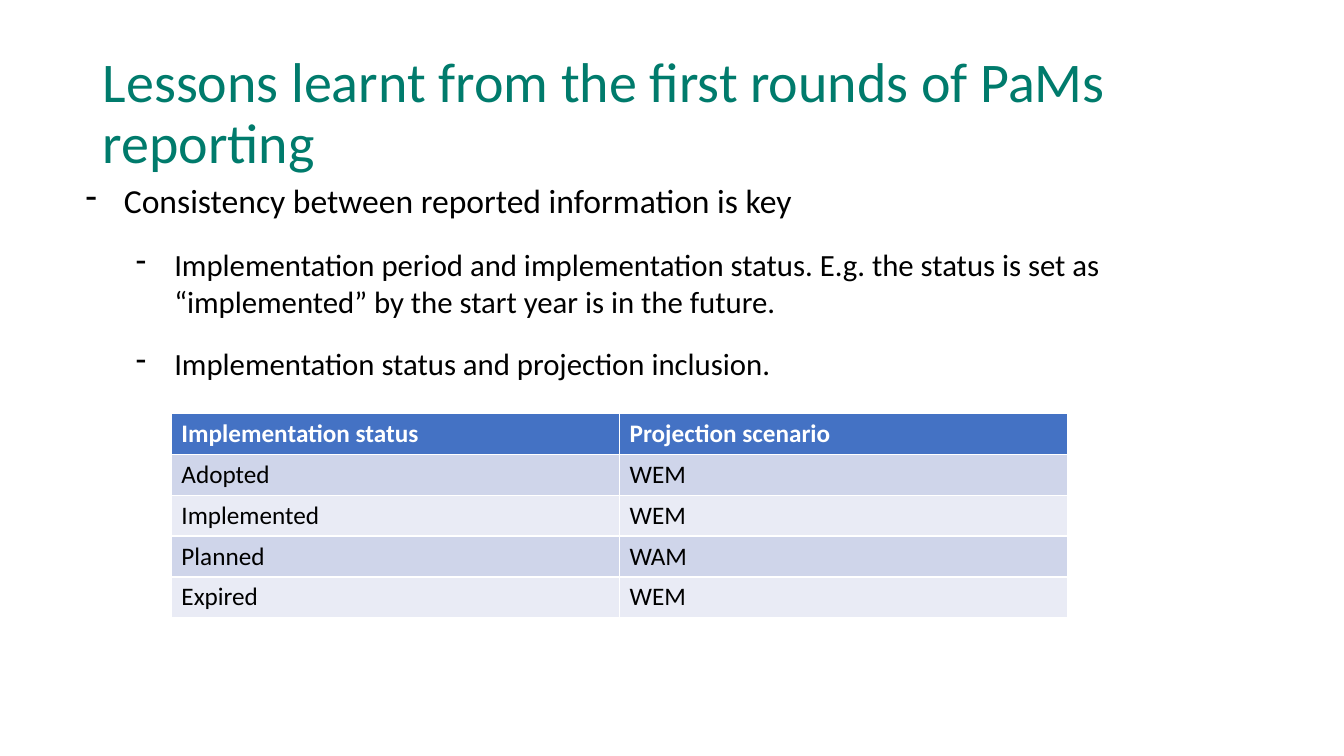
import pptx
import pptx.dml.color
import pptx.enum.text
import pptx.oxml.ns
import pptx.util
from lxml import etree

Inches = pptx.util.Inches
COLORS = {
    "title": "007B6C",
    "text": "000000",
    "header": "4472C4",
    "header_text": "FFFFFF",
    "odd_row": "CFD5EA",
    "even_row": "E9EBF5",
}
POINTS = [
    (0, "Consistency between reported information is key"),
    (1, "Implementation period and implementation status. E.g. the status is set as "
        "“implemented” by the start year is in the future."),
    (1, "Implementation status and projection inclusion."),
]
SCENARIOS = [
    ("Implementation status", "Projection scenario"),
    ("Adopted", "WEM"),
    ("Implemented", "WEM"),
    ("Planned", "WAM"),
    ("Expired", "WEM"),
]


def write_text(paragraph, text, size, color="text", bold=False, font="Calibri"):
    run = paragraph.add_run()
    run.text = text
    run.font.name = font
    run.font.size = pptx.util.Pt(size)
    run.font.bold = bold
    run.font.color.rgb = pptx.dml.color.RGBColor.from_string(COLORS[color])


class SlideBuilder:
    """Adds styled elements to one title-only slide."""

    bullet_sizes = (24, 22)
    bullet_indent = 0.38
    level_step = 0.5

    def __init__(self, presentation):
        self.slide = presentation.slides.add_slide(presentation.slide_layouts[5])

    def title(self, text, left, top, width, height):
        shape = self.slide.shapes.title
        shape.left, shape.top = Inches(left), Inches(top)
        shape.width, shape.height = Inches(width), Inches(height)
        frame = shape.text_frame
        frame.word_wrap = True
        frame.auto_size = pptx.enum.text.MSO_AUTO_SIZE.NONE
        frame.vertical_anchor = pptx.enum.text.MSO_ANCHOR.MIDDLE
        paragraph = frame.paragraphs[0]
        paragraph.alignment = pptx.enum.text.PP_ALIGN.LEFT
        paragraph.line_spacing = 0.9
        write_text(paragraph, text, 40, color="title")

    def bullets(self, points, left, top, width, height):
        shape = self.slide.shapes.add_textbox(
            Inches(left), Inches(top), Inches(width), Inches(height))
        frame = shape.text_frame
        frame.word_wrap = True
        for index, (level, text) in enumerate(points):
            paragraph = frame.add_paragraph() if index else frame.paragraphs[0]
            self.bullet(paragraph, level)
            write_text(paragraph, text, self.bullet_sizes[level])

    def bullet(self, paragraph, level):
        properties = paragraph._p.get_or_add_pPr()
        margin = self.bullet_indent + level * self.level_step
        properties.set("marL", str(Inches(margin)))
        properties.set("indent", str(-Inches(self.bullet_indent)))
        mark = etree.SubElement(properties, pptx.oxml.ns.qn("a:buChar"))
        mark.set("char", "-")
        paragraph.level = level
        paragraph.space_after = pptx.util.Pt(18)

    def table(self, rows, left, top, width, height):
        frame = self.slide.shapes.add_table(
            len(rows), len(rows[0]),
            Inches(left), Inches(top), Inches(width), Inches(height))
        for row_index, row in enumerate(rows):
            header = row_index == 0
            band = "odd_row" if row_index % 2 else "even_row"
            fill = COLORS["header" if header else band]
            for column_index, text in enumerate(row):
                cell = frame.table.cell(row_index, column_index)
                cell.fill.solid()
                cell.fill.fore_color.rgb = pptx.dml.color.RGBColor.from_string(fill)
                write_text(cell.text_frame.paragraphs[0], text, 18,
                           color="header_text" if header else "text", bold=header)


def main():
    presentation = pptx.Presentation()
    presentation.slide_width = Inches(13.33)
    presentation.slide_height = Inches(7.5)
    builder = SlideBuilder(presentation)
    builder.title("Lessons learnt from the first rounds of PaMs reporting",
                  0.92, 0.4, 11.9, 1.48)
    builder.bullets(POINTS, 0.75, 1.74, 10.89, 5.15)
    builder.table(SCENARIOS, 1.7, 4.1, 8.89, 2.03)
    presentation.save("out.pptx")


if __name__ == "__main__":
    main()
